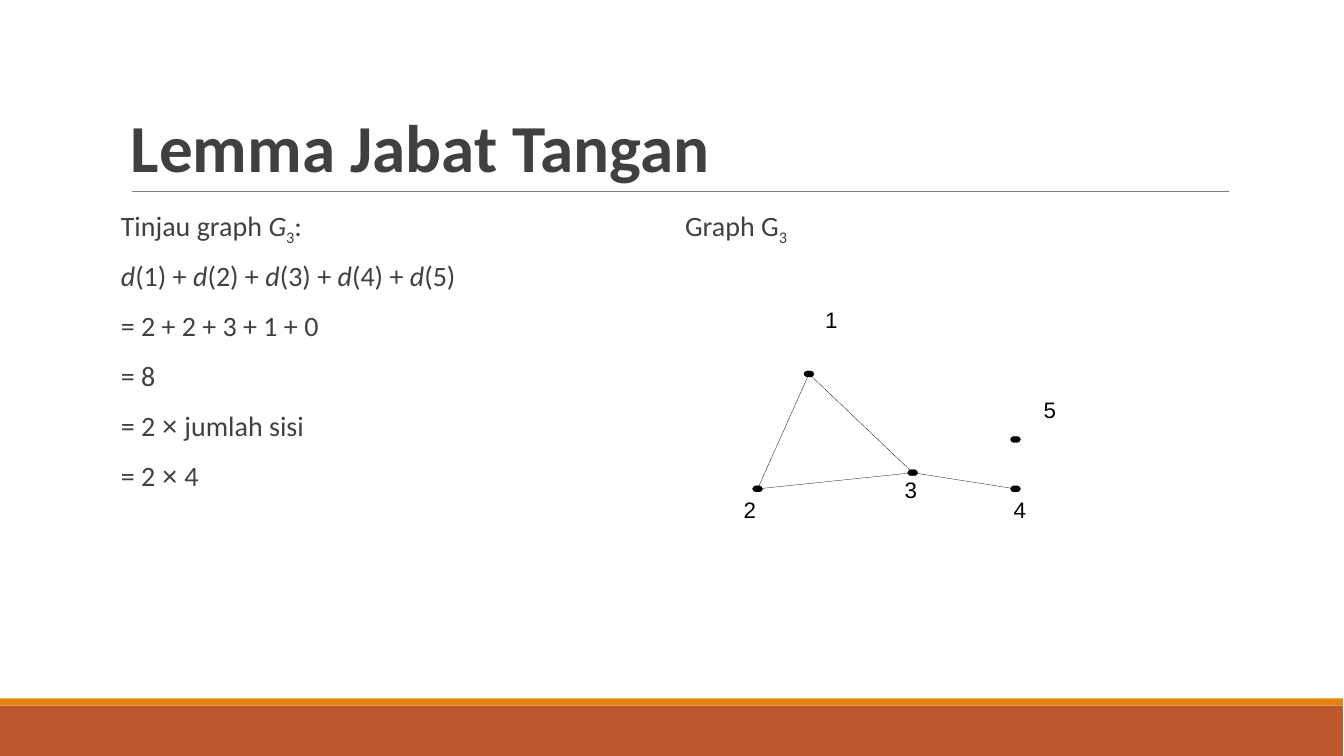
"""Builds the slide on the handshake lemma with its example graph."""
import pptx
import pptx.dml.color
import pptx.enum.shapes
import pptx.enum.text
import pptx.oxml
import pptx.oxml.ns
import pptx.util

PX = 9144
SLIDE_SIZE = (1334, 750)
TITLE = "Lemma Jabat Tangan"
BANDS = [((0, 700, 1333, 50), "BD582C"), ((0, 693, 1333, 7), "E48312")]
DEGREE_SUM = [(f"({vertex})" + (" + " if vertex < 5 else ""), "plain") for vertex in range(1, 6)]
CALCULATION = [
    [("Tinjau graph ", "plain"), ("G", "italic"), ("3", "subscript"), (":", "plain")],
    [run for term in DEGREE_SUM for run in (("d", "italic"), term)],
    [("= 2 + 2 + 3 + 1 + 0", "plain")],
    [("= 8", "plain")],
    [("= 2 ", "plain"), ("×", "symbol"), (" jumlah sisi", "plain")],
    [("= 2 ", "plain"), ("×", "symbol"), (" 4", "plain")],
]
GRAPH_NAME = [[("Graph G", "plain"), ("3", "subscript")]]
COLUMNS = [(120, CALCULATION), (680, GRAPH_NAME)]
VERTICES = {
    1: ((803, 371), (819, 304)),
    2: ((752, 485), (738, 492)),
    3: ((906, 469), (898, 472)),
    4: ((1008, 485), (1006, 492)),
    5: ((1008, 436), (1036, 393)),
}
EDGES = [(1, 2), (3, 4), (2, 3), (1, 3)]
DOT_UPPER = [(-5, 0), (-4, -2), (-2, -3), (2, -3), (4, -2)]
DOT_OUTLINE = DOT_UPPER + [(-x, -y) for x, y in DOT_UPPER]


def color(value):
    return pptx.dml.color.RGBColor.from_string(value)


def emu(*lengths):
    return [pptx.util.Emu(length * PX) for length in lengths]


def add_text_box(slide, box, margins, wrap=True):
    frame = slide.shapes.add_textbox(*emu(*box)).text_frame
    frame.word_wrap = wrap
    frame.margin_left, frame.margin_top, frame.margin_right, frame.margin_bottom = emu(*margins)
    return frame


def format_run(run, size, font, value):
    run.font.size = pptx.util.Pt(size)
    run.font.name = font
    run.font.color.rgb = color(value)


def add_line(slide, start, end, value, width):
    line = slide.shapes.add_connector(
        pptx.enum.shapes.MSO_CONNECTOR.STRAIGHT, *emu(*start, *end))
    line.line.color.rgb = color(value)
    line.line.width = pptx.util.Pt(width)
    properties = line._element.spPr
    properties.append(properties.makeelement(pptx.oxml.ns.qn("a:effectLst"), {}))


def add_frame(slide):
    for box, fill in BANDS:
        band = slide.shapes.add_shape(pptx.enum.shapes.MSO_SHAPE.RECTANGLE, *emu(*box))
        band.shadow.inherit = False
        band.fill.solid()
        band.fill.fore_color.rgb = color(fill)
        band.line.fill.background()
    add_line(slide, (131, 190), (1220, 190), "7F7F7F", 0.5)
    frame = add_text_box(slide, (120, 31, 1100, 159), (10, 5, 10, 5))
    frame.vertical_anchor = pptx.enum.text.MSO_ANCHOR.BOTTOM
    frame.text = TITLE
    paragraph = frame.paragraphs[0]
    paragraph.line_spacing = 0.85
    format_run(paragraph.runs[0], 48, "Calibri", "404040")
    paragraph.runs[0].font.bold = True


def add_column(slide, left, lines):
    frame = add_text_box(slide, (left, 202, 540, 440), (0, 5, 0, 5))
    for index, line in enumerate(lines):
        paragraph = frame.add_paragraph() if index else frame.paragraphs[0]
        paragraph.line_spacing = 0.9
        paragraph.space_before = pptx.util.Pt(12)
        paragraph.space_after = pptx.util.Pt(2)
        indent = emu(10)[0]
        properties = paragraph._p.get_or_add_pPr()
        properties.set("marL", str(indent))
        properties.set("indent", str(-indent))
        for text, style in line:
            run = paragraph.add_run()
            run.text = text
            format_run(run, 20, "Arial" if style == "symbol" else "Calibri", "404040")
            run.font.italic = style == "italic"
            if style == "subscript":
                run.font._element.set("baseline", "-25000")


def add_graph(slide):
    for (x, y), _ in VERTICES.values():
        points = [(x + dx, y + dy) for dx, dy in DOT_OUTLINE]
        builder = slide.shapes.build_freeform(*points[0], scale=PX)
        builder.add_line_segments(points[1:], close=True)
        dot = builder.convert_to_shape()
        dot.shadow.inherit = False
        dot.fill.solid()
        dot.fill.fore_color.rgb = color("000000")
        dot.line.color.rgb = color("000000")
        dot.line.width = pptx.util.Pt(0.2)
    for start, end in EDGES:
        add_line(slide, VERTICES[start][0], VERTICES[end][0], "000000", 0.2)
    for number, (_, corner) in VERTICES.items():
        frame = add_text_box(slide, (*corner, 12, 27), (0, 0, 0, 0), wrap=False)
        frame.text = str(number)
        format_run(frame.paragraphs[0].runs[0], 16, "Arial", "000000")


def main():
    presentation = pptx.Presentation()
    presentation.slide_width, presentation.slide_height = emu(*SLIDE_SIZE)
    slide = presentation.slides.add_slide(presentation.slide_layouts[6])
    add_frame(slide)
    for left, lines in COLUMNS:
        add_column(slide, left, lines)
    add_graph(slide)
    presentation.save("out.pptx")


if __name__ == "__main__":
    main()
